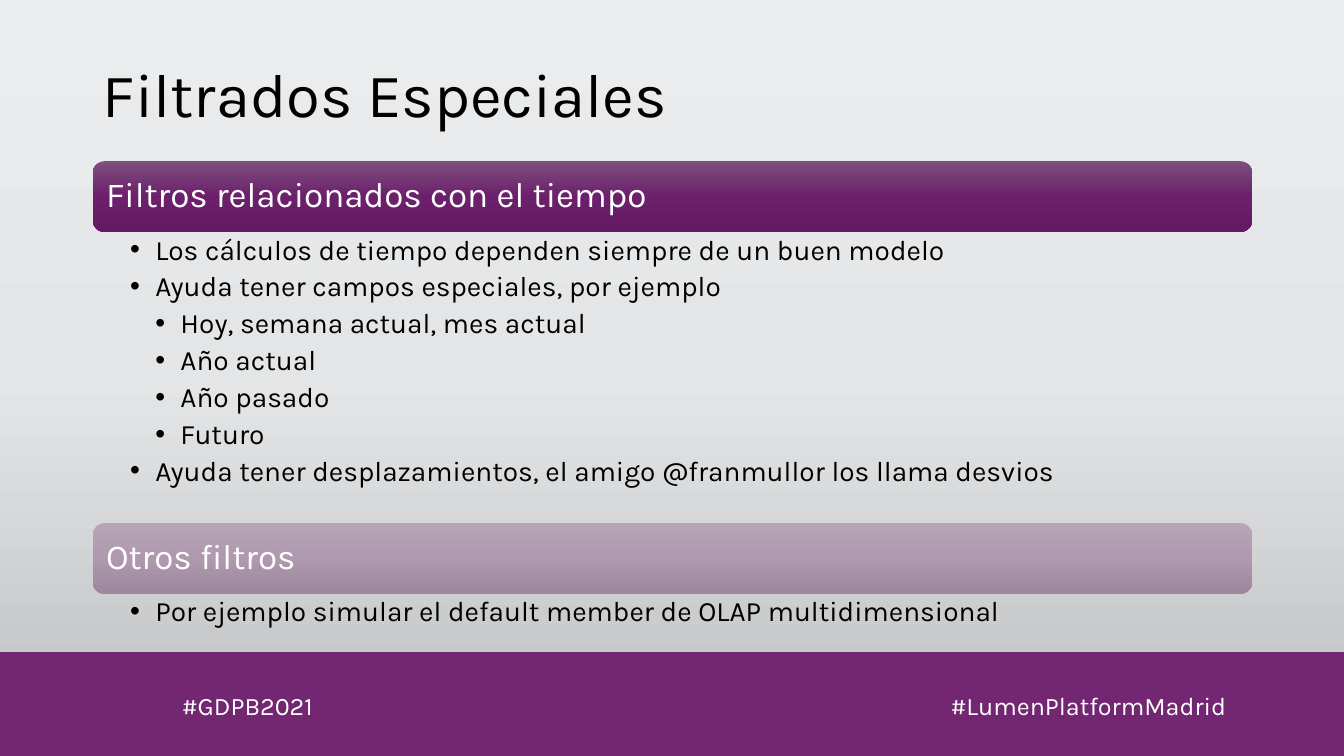
import copy
import pptx
import pptx.util
import pptx.dml.color
import pptx.enum.shapes
import pptx.enum.text
import pptx.oxml
import pptx.oxml.ns

Inches = pptx.util.Inches
Pt = pptx.util.Pt
ALIGN = pptx.enum.text.PP_ALIGN
ANCHOR = pptx.enum.text.MSO_ANCHOR
SHAPE = pptx.enum.shapes.MSO_SHAPE

FONT = "Karla"
COLORS = {"band": "732773", "white": "FFFFFF", "black": "000000"}
GRADIENTS = {
    "page": ["EBECED", "E4E5E6", "BDBEBF"],
    "strong": ["7C507C", "6C206C", "631963"],
    "soft": ["B7A5B7", "AE99AE", "9C879C"],
}
TIME_ITEMS = [
    (0, "Los cálculos de tiempo dependen siempre de un buen modelo"),
    (0, "Ayuda tener campos especiales, por ejemplo"),
    (1, "Hoy, semana actual, mes actual"),
    (1, "Año actual"),
    (1, "Año pasado"),
    (1, "Futuro"),
    (0, "Ayuda tener desplazamientos, el amigo @franmullor los llama desvios"),
]
OTHER_ITEMS = [(0, "Por ejemplo simular el default member de OLAP multidimensional")]


def rgb(name):
    """Return the named colour."""
    return pptx.dml.color.RGBColor.from_string(COLORS[name])


def set_gradient(fill, element, name):
    """Fill from top to bottom with three evenly spaced colours."""
    fill.gradient()
    fill.gradient_angle = 270
    stops = next(element.iter(pptx.oxml.ns.qn("a:gsLst")))
    stops.append(copy.deepcopy(stops[-1]))
    for i, (stop, color) in enumerate(zip(fill.gradient_stops, GRADIENTS[name])):
        stop.position = i / 2
        stop.color.rgb = pptx.dml.color.RGBColor.from_string(color)


def set_frame(tf, insets, anchor=ANCHOR.TOP, wrap=True):
    """Set the insets, anchor and wrapping of a text frame."""
    tf.word_wrap = wrap
    tf.auto_size = pptx.enum.text.MSO_AUTO_SIZE.NONE
    tf.vertical_anchor = anchor
    tf.margin_left, tf.margin_top, tf.margin_right, tf.margin_bottom = map(Inches, insets)


def write(p, text, size=20, color="black", align=ALIGN.LEFT, spacing=0.9, after=0):
    """Write one formatted run into a paragraph."""
    p.alignment = align
    p.line_spacing = spacing
    p.space_before = Pt(0)
    p.space_after = Pt(after)
    r = p.add_run()
    r.text = text
    r.font.name = FONT
    r.font.size = Pt(size)
    r.font.color.rgb = rgb(color)


def place(sp, x, y, w, h):
    """Move and size a shape in inches."""
    sp.left, sp.top, sp.width, sp.height = map(Inches, (x, y, w, h))


def set_bullet(p, level):
    """Give a paragraph its level, hanging indent and bullet."""
    p.level = level
    pPr = p._p.get_or_add_pPr()
    pPr.set("marL", str(Inches(0.25 * (level + 1))))
    pPr.set("indent", str(Inches(-0.25)))
    ns = pptx.oxml.ns.nsdecls("a")
    pPr.append(pptx.oxml.parse_xml(f'<a:buFont {ns} typeface="Arial"/>'))
    pPr.append(pptx.oxml.parse_xml(f'<a:buChar {ns} char="•"/>'))


def add_title(s, text, x, y, w, h):
    """Place the slide title."""
    sp = s.shapes.title
    place(sp, x, y, w, h)
    set_frame(sp.text_frame, (0.1, 0.05, 0.1, 0.05), ANCHOR.MIDDLE)
    write(sp.text_frame.paragraphs[0], text, size=44)


def add_section(s, body, heading, items, gradient, x, y, w, h):
    """Place a heading bar with its bulleted list below."""
    bar_h = 0.7
    bar = s.shapes.add_shape(
        SHAPE.ROUNDED_RECTANGLE, Inches(x), Inches(y), Inches(w), Inches(bar_h))
    bar.shadow.inherit = False
    bar.line.fill.background()
    set_gradient(bar.fill, bar.element, gradient)
    set_frame(bar.text_frame, (0.1, 0.1, 0.1, 0.1), ANCHOR.MIDDLE)
    write(bar.text_frame.paragraphs[0], heading, size=25, color="white")

    place(body, x, y + bar_h + 0.01, w, h - bar_h)
    tf = body.text_frame
    set_frame(tf, (0.37, 0.03, 0.19, 0.03))
    for i, (level, text) in enumerate(items):
        p = tf.add_paragraph() if i else tf.paragraphs[0]
        write(p, text, after=4.7)
        set_bullet(p, level)


def add_footer(s, x, y, w, h):
    """Place the bottom band and its two hashtags."""
    band = s.shapes.add_shape(SHAPE.RECTANGLE, Inches(x), Inches(y), Inches(w), Inches(h))
    band.shadow.inherit = False
    band.fill.solid()
    band.fill.fore_color.rgb = rgb("band")
    band.line.fill.background()
    tags = [("#LumenPlatformMadrid", 7.94, 4.32), ("#GDPB2021", 1.52, 1.68)]
    for text, dx, tag_w in tags:
        tb = s.shapes.add_textbox(
            Inches(x + dx), Inches(y + 0.33), Inches(tag_w), Inches(0.4))
        set_frame(tb.text_frame, (0.1, 0.05, 0.1, 0.05))
        write(tb.text_frame.paragraphs[0], text, size=18, color="white",
              align=ALIGN.RIGHT, spacing=1.0)


def main():
    """Build and save the slide."""
    prs = pptx.Presentation()
    prs.slide_width, prs.slide_height = Inches(13.33), Inches(7.5)
    s = prs.slides.add_slide(prs.slide_layouts[3])
    set_gradient(s.background.fill, s.element, "page")
    add_footer(s, 0, 6.47, 13.33, 1.03)
    add_title(s, "Filtrados Especiales", 0.92, 0.4, 11.5, 1.13)
    add_section(s, s.placeholders[1], "Filtros relacionados con el tiempo",
                TIME_ITEMS, "strong", 0.92, 1.6, 11.5, 3.59)
    add_section(s, s.placeholders[2], "Otros filtros",
                OTHER_ITEMS, "soft", 0.92, 5.19, 11.5, 1.15)
    prs.save("out.pptx")


if __name__ == "__main__":
    main()
